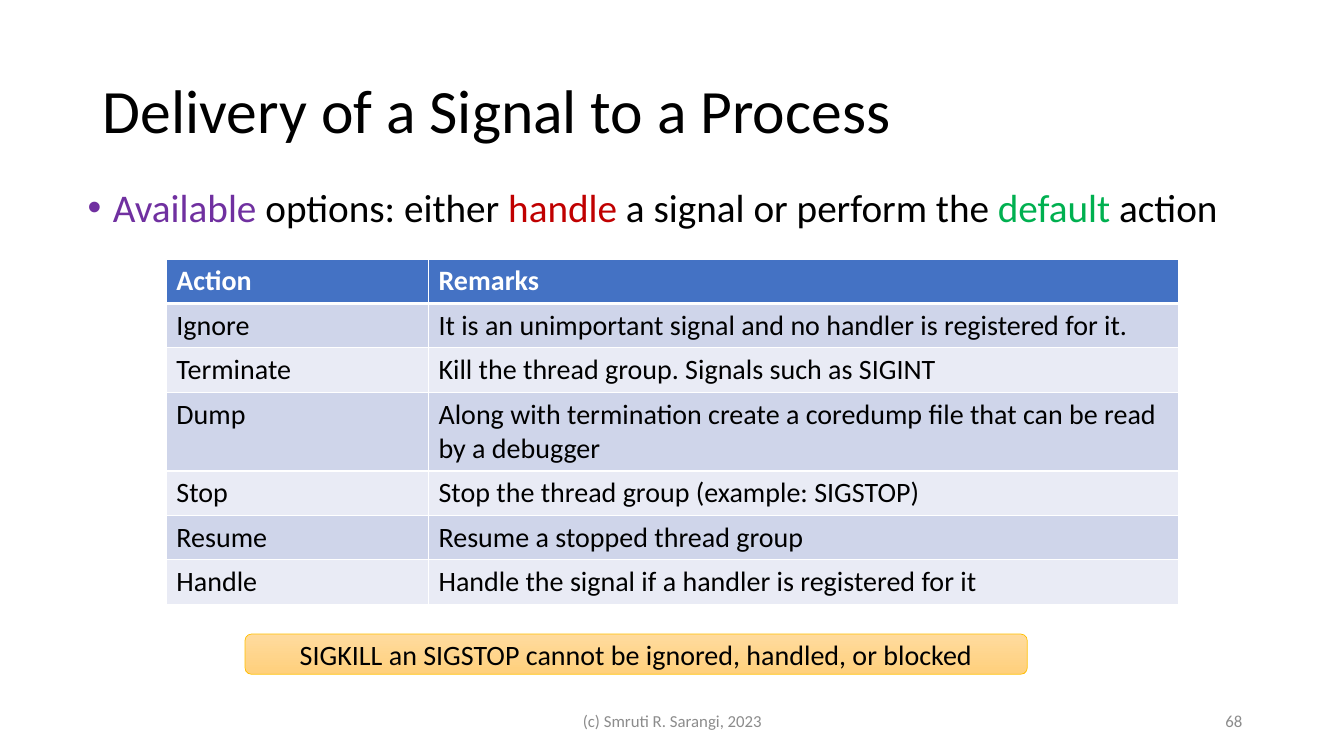
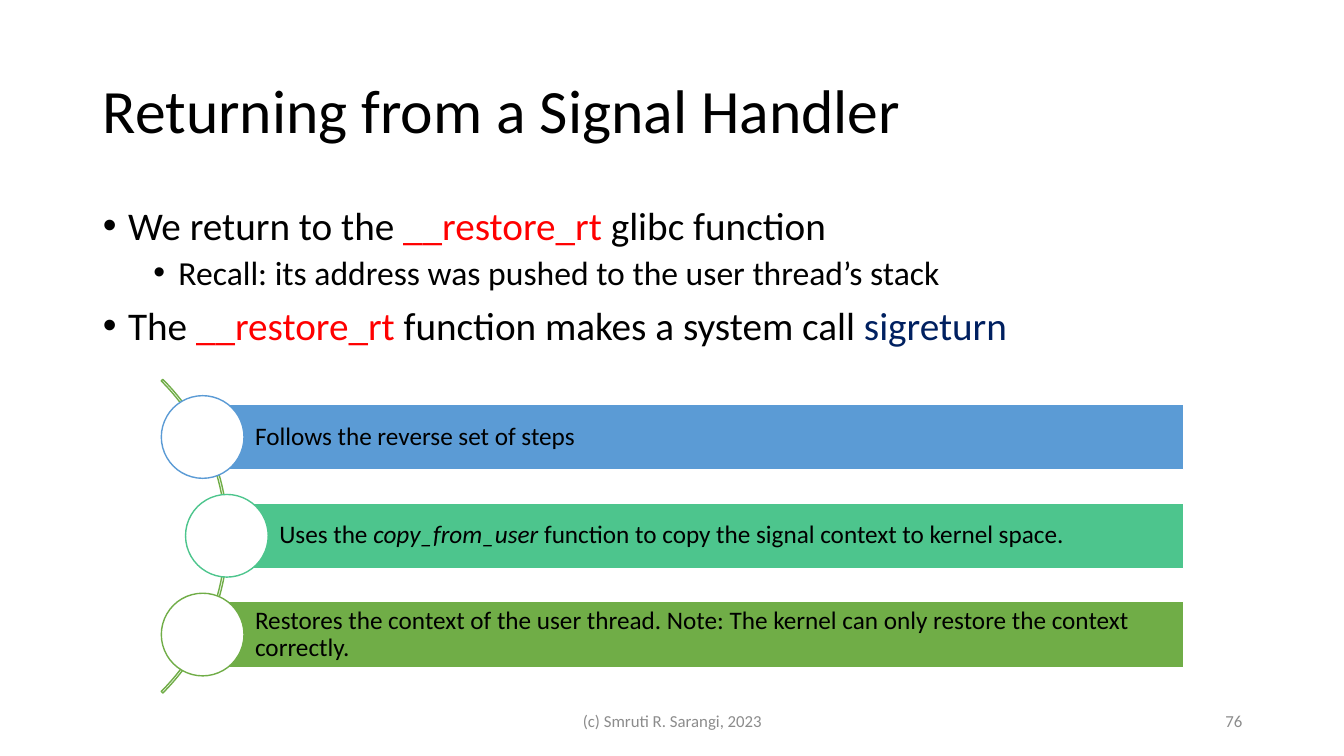
from dataclasses import dataclass

from lxml.etree import SubElement
from pptx import Presentation
from pptx.dml.color import RGBColor
from pptx.enum.shapes import MSO_SHAPE
from pptx.enum.text import MSO_ANCHOR, MSO_AUTO_SIZE, PP_ALIGN
from pptx.oxml.ns import qn
from pptx.util import Inches, Pt


@dataclass(frozen=True)
class Theme:
    """Colours, font and type sizes of the deck."""
    font: str = "Calibri"
    black: str = "000000"
    white: str = "FFFFFF"
    grey: str = "8C8C8C"
    purple: str = "7030A0"
    crimson: str = "C00000"
    red: str = "FF0000"
    navy: str = "002060"
    emerald: str = "00B050"
    head: str = "4472C4"
    bands: tuple = ("E9EBF5", "CFD5EA")
    gold: str = "FFC000"
    glow: tuple = ("FFDB9E", "FFD07C")
    blue: str = "5B9BD5"
    teal: str = "4DC58D"
    green: str = "70AD47"
    title: int = 44
    levels: tuple = (28, 24)
    cell: int = 20
    step: int = 18
    foot: int = 12


THEME = Theme()


@dataclass(frozen=True)
class Box:
    """Place and size in inches."""
    left: float
    top: float
    width: float
    height: float

    def lengths(self) -> tuple:
        """Return the four lengths for a shape call."""
        return tuple(map(Inches, (self.left, self.top, self.width, self.height)))


@dataclass(frozen=True)
class Span:
    """A run of text with its own look."""
    text: str
    color: str = ""
    italic: bool = False


@dataclass(frozen=True)
class Item:
    """A bullet line and its level."""
    spans: tuple
    level: int = 0


@dataclass(frozen=True)
class Step:
    """A bar of the step list, its left edge and its colour."""
    left: float
    color: str
    spans: tuple


ROWS = (
    ("Action", "Remarks"),
    ("Ignore", "It is an unimportant signal and no handler is registered for it."),
    ("Terminate", "Kill the thread group. Signals such as SIGINT"),
    ("Dump", "Along with termination create a coredump file that can be read by a debugger"),
    ("Stop", "Stop the thread group (example: SIGSTOP)"),
    ("Resume", "Resume a stopped thread group"),
    ("Handle", "Handle the signal if a handler is registered for it"),
)
CHOICE = (
    Item((Span("Available", THEME.purple), Span(" options: either "),
          Span("handle", THEME.crimson), Span(" a signal or perform the "),
          Span("default", THEME.emerald), Span(" action"))),
)
RETURN = (
    Item((Span("We return to the "), Span("__restore_rt ", THEME.red),
          Span("glibc function"))),
    Item((Span("Recall: its address was pushed to the user thread’s stack"),), 1),
    Item((Span("The "), Span("__restore_rt", THEME.red),
          Span(" function makes a system call "), Span("sigreturn", THEME.navy))),
)
STEPS = (
    Step(2.01, THEME.blue, (Span("Follows the reverse set of steps"),)),
    Step(2.25, THEME.teal, (Span("Uses the "), Span("copy_from_user", italic=True),
                            Span(" function to copy the signal context to kernel space."))),
    Step(2.01, THEME.green, (Span("Restores the context of the user thread. Note: The kernel "
                                  "can only restore the context correctly."),)),
)


def rgb(color: str) -> RGBColor:
    """Turn a hex string into a colour."""
    return RGBColor.from_string(color)


def write(para, spans: tuple, size: int, color: str = THEME.black,
          align=PP_ALIGN.LEFT, bold: bool = False) -> None:
    """Fill a paragraph with spans in one base style."""
    para.alignment = align
    font = para.font
    font.name, font.size, font.bold = THEME.font, Pt(size), bold
    font.color.rgb = rgb(color)
    for span in spans:
        run = para.add_run()
        run.text = span.text
        if span.color:
            run.font.color.rgb = rgb(span.color)
        if span.italic:
            run.font.italic = True


def place(shape, box: Box) -> None:
    """Move and size a shape."""
    shape.left, shape.top, shape.width, shape.height = box.lengths()


def frame(shape, anchor):
    """Set wrap and anchor, and return the text frame."""
    text = shape.text_frame
    text.word_wrap = True
    text.auto_size = MSO_AUTO_SIZE.NONE
    text.vertical_anchor = anchor
    return text


def label(slide, box: Box, text: str, align) -> None:
    """Add a footer text."""
    body = frame(slide.shapes.add_textbox(*box.lengths()), MSO_ANCHOR.MIDDLE)
    write(body.paragraphs[0], (Span(text),), THEME.foot, THEME.grey, align)


def shape(slide, kind, box: Box, fill: str, line: str, width: float = 1):
    """Add a flat preset shape; no fill colour leaves it open."""
    form = slide.shapes.add_shape(kind, *box.lengths())
    form.shadow.inherit = False
    if fill:
        form.fill.solid()
        form.fill.fore_color.rgb = rgb(fill)
    else:
        form.fill.background()
    form.line.color.rgb = rgb(line)
    form.line.width = Pt(width)
    return form


def bullets(holder, items: tuple) -> None:
    """Write a bullet list in the body placeholder."""
    text = frame(holder, MSO_ANCHOR.TOP)
    for index, item in enumerate(items):
        para = text.add_paragraph() if index else text.paragraphs[0]
        para.level = item.level
        props = para._p.get_or_add_pPr()
        props.set("marL", str(Inches(0.25 + 0.5 * item.level)))
        props.set("indent", str(Inches(-0.25)))
        SubElement(props, qn("a:buFont"), typeface="Arial")
        SubElement(props, qn("a:buChar"), char="•")
        para.line_spacing = 0.9
        para.space_before = Pt((10, 5)[item.level] if index else 0)
        write(para, item.spans, THEME.levels[item.level])


def base(deck, title: str, page: str, box: Box, items: tuple):
    """Add a slide with title, list and footer."""
    slide = deck.slides.add_slide(deck.slide_layouts[1])
    head, body = slide.placeholders
    place(head, Box(0.92, 0.4, 11.5, 1.45))
    para = frame(head, MSO_ANCHOR.MIDDLE).paragraphs[0]
    para.line_spacing = 0.9
    write(para, (Span(title),), THEME.title)
    place(body, box)
    bullets(body, items)
    label(slide, Box(4.42, 6.95, 4.5, 0.4), "(c) Smruti R. Sarangi, 2023", PP_ALIGN.CENTER)
    label(slide, Box(9.42, 6.95, 3, 0.4), page, PP_ALIGN.RIGHT)
    return slide


def border(cell, row: int) -> None:
    """Draw white cell borders, thick below the header."""
    props = cell._tc.get_or_add_tcPr()
    widths = {"L": 1, "R": 1, "T": 3 if row == 1 else 1, "B": 1 if row else 3}
    for side, width in widths.items():
        line = SubElement(props, qn(f"a:ln{side}"), w=str(Pt(width)))
        fill = SubElement(line, qn("a:solidFill"))
        SubElement(fill, qn("a:srgbClr"), val=THEME.white)


def grid(slide, rows: tuple) -> None:
    """Add the table of actions."""
    box = Box(1.65, 2.57, 10.04, 3.42)
    table = slide.shapes.add_table(len(rows), 2, *box.lengths()).table
    table.first_row = table.horz_banding = False
    for column, width in zip(table.columns, (2.6, 7.44)):
        column.width = Inches(width)
    for index, texts in enumerate(rows):
        table.rows[index].height = Inches(0.78 if texts[0] == "Dump" else 0.44)
        for cell, text in zip(table.rows[index].cells, texts):
            border(cell, index)
            cell.fill.solid()
            cell.fill.fore_color.rgb = rgb(THEME.bands[index % 2] if index else THEME.head)
            write(cell.text_frame.paragraphs[0], (Span(text),), THEME.cell,
                  THEME.black if index else THEME.white, bold=not index)


def banner(slide, text: str) -> None:
    """Add the golden note below the table."""
    form = shape(slide, MSO_SHAPE.ROUNDED_RECTANGLE, Box(2.43, 6.29, 7.76, 0.4),
                 "", THEME.gold, 0.5)
    form.fill.gradient()
    form.fill.gradient_angle = 270
    for stop, color in zip(form.fill.gradient_stops, THEME.glow):
        stop.color.rgb = rgb(color)
    para = frame(form, MSO_ANCHOR.MIDDLE).paragraphs[0]
    write(para, (Span(text),), THEME.cell, align=PP_ALIGN.CENTER)


def chain(slide, steps: tuple) -> None:
    """Add the arc with its bars and circles."""
    arc = shape(slide, MSO_SHAPE.BLOCK_ARC, Box(-2.14, 3.12, 4.4, 4.4), "", THEME.green)
    for index, value in enumerate((189, 27, 0.005)):
        arc.adjustments[index] = value
    right, high, size = 11.74, 0.65, 0.82
    for index, step in enumerate(steps):
        top = 4.01 + 0.98 * index
        bar = shape(slide, MSO_SHAPE.RECTANGLE,
                    Box(step.left, top, right - step.left, high), step.color, THEME.white)
        text = frame(bar, MSO_ANCHOR.MIDDLE)
        text.margin_left = Inches(0.52)
        text.margin_right = text.margin_top = text.margin_bottom = Inches(0.05)
        text.paragraphs[0].line_spacing = 0.9
        write(text.paragraphs[0], step.spans, THEME.step)
        shape(slide, MSO_SHAPE.OVAL,
              Box(step.left - size / 2, top + (high - size) / 2, size, size),
              THEME.white, step.color)


def main() -> None:
    """Build and save the deck."""
    deck = Presentation()
    deck.slide_width, deck.slide_height = Inches(13.33), Inches(7.5)
    slide = base(deck, "Delivery of a Signal to a Process", "68",
                 Box(0.77, 1.82, 11.5, 0.6), CHOICE)
    grid(slide, ROWS)
    banner(slide, "SIGKILL an SIGSTOP cannot be ignored, handled, or blocked")
    slide = base(deck, "Returning from a Signal Handler", "76",
                 Box(0.92, 2, 11.5, 1.56), RETURN)
    chain(slide, STEPS)
    deck.save("out.pptx")


if __name__ == "__main__":
    main()
